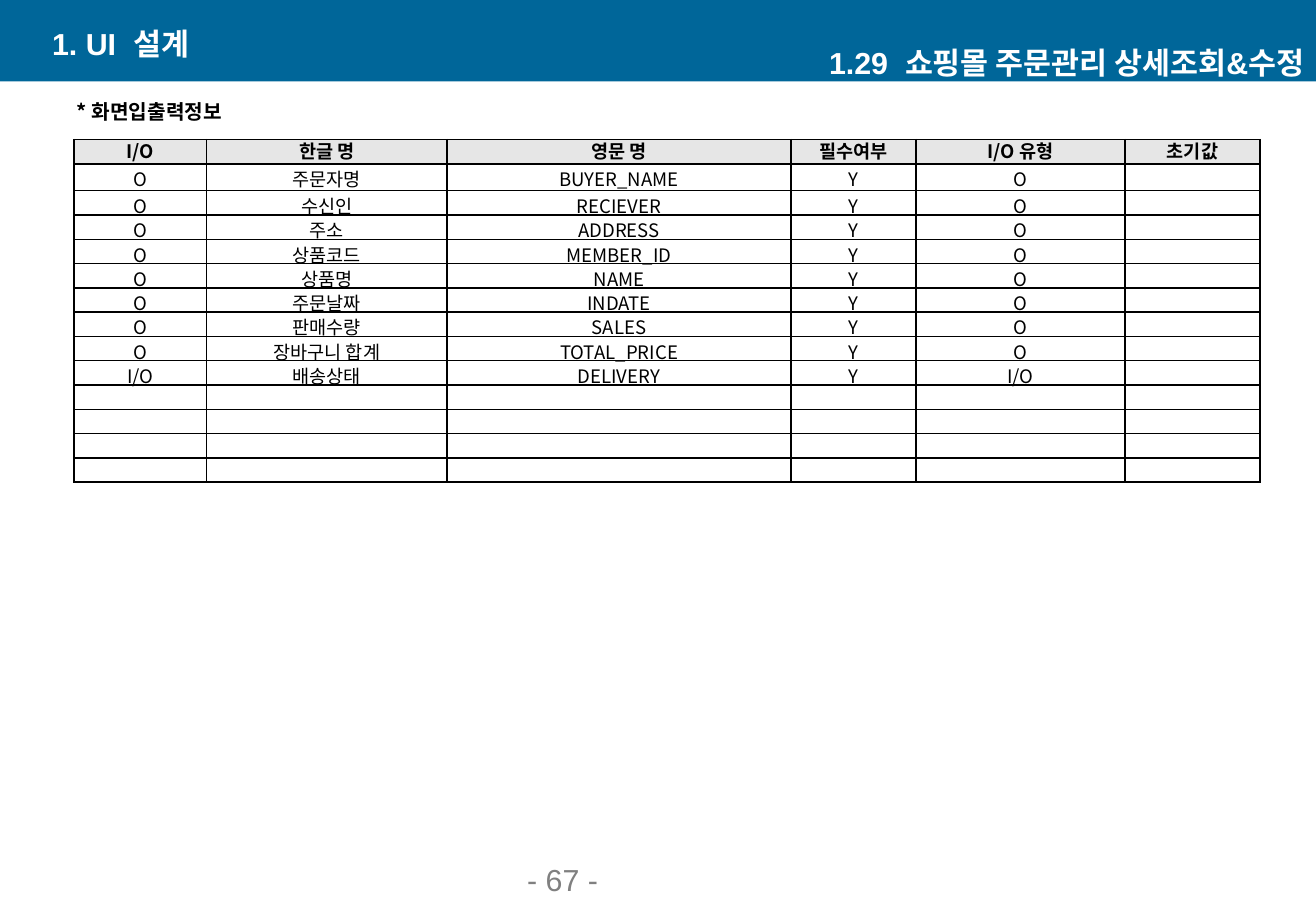
from lxml import etree
from pptx import Presentation
from pptx.dml.color import RGBColor
from pptx.enum.shapes import MSO_SHAPE
from pptx.enum.text import MSO_ANCHOR, PP_ALIGN
from pptx.oxml.ns import qn
from pptx.util import Inches, Pt

LEFT, CENTER, RIGHT = PP_ALIGN.LEFT, PP_ALIGN.CENTER, PP_ALIGN.RIGHT
TOP, MIDDLE, BOTTOM = MSO_ANCHOR.TOP, MSO_ANCHOR.MIDDLE, MSO_ANCHOR.BOTTOM

BLUE = RGBColor(0x00, 0x66, 0x99)
WHITE = RGBColor(0xFF, 0xFF, 0xFF)
BLACK = RGBColor(0x00, 0x00, 0x00)
GRAY = RGBColor(0x80, 0x80, 0x80)
HEADER_FILL = RGBColor(0xE6, 0xE6, 0xE6)
LATIN, KOREAN = "Arial", "Noto Sans CJK KR"

# Content
HEADER = ["I/O", "한글 명", "영문 명", "필수여부", "I/O 유형", "초기값"]
FIELDS = [  # I/O, Korean name, English name
    ("O", "주문자명", "BUYER_NAME"),
    ("O", "수신인", "RECIEVER"),
    ("O", "주소", "ADDRESS"),
    ("O", "상품코드", "MEMBER_ID"),
    ("O", "상품명", "NAME"),
    ("O", "주문날짜", "INDATE"),
    ("O", "판매수량", "SALES"),
    ("O", "장바구니 합계", "TOTAL_PRICE"),
    ("I/O", "배송상태", "DELIVERY"),
]
EMPTY_ROWS = 4
COL_WIDTHS = [1.09, 1.98, 2.83, 1.03, 1.72, 1.11]
ROW_HEIGHT, FIRST_FIELD_HEIGHT = 0.2, 0.22
TITLE = dict(size=18, color=WHITE, bold=True, anchor=MIDDLE)
TEXTS = [  # text, box, format
    ("1. UI  설계", (0.33, 0.19, 4.38, 0.33), TITLE),
    ("1.29  쇼핑몰 주문관리 상세조회&수정", (6.45, 0.35, 4.38, 0.33),
     dict(TITLE, align=RIGHT)),
    ("* 화면입출력정보", (0.47, 0.77, 1.52, 0.29),
     dict(size=12, font=KOREAN, bold=True, align=CENTER, wrap=False, spacing=("spcBef", "spcAft"))),
    ("- 67 -", (4.24, 7.13, 2.26, 0.31), dict(size=18, color=GRAY, anchor=BOTTOM)),
]


def write(tf, text, size=11, font=LATIN, color=BLACK, bold=False, align=LEFT,
          anchor=TOP, wrap=True, line=None, spacing=()):
    tf.word_wrap = wrap
    tf.vertical_anchor = anchor
    p = tf.paragraphs[0]
    p.alignment = align
    if line:
        p.line_spacing = Pt(line)
    for tag in spacing:  # a quarter of a line
        space = etree.SubElement(p._p.get_or_add_pPr(), qn("a:" + tag))
        etree.SubElement(space, qn("a:spcPct")).set("val", "25000")
    if not text:  # keeps an empty row low
        etree.SubElement(p._p, qn("a:endParaRPr")).set("sz", str(size * 100))
        return
    r = p.add_run()
    r.text = text
    r.font.size, r.font.name, r.font.bold = Pt(size), font, bold
    r.font.color.rgb = color
    etree.SubElement(r._r.get_or_add_rPr(), qn("a:ea")).set("typeface", KOREAN)


def add_borders(cell):
    tcPr = cell._tc.get_or_add_tcPr()
    for i, side in enumerate(("lnL", "lnR", "lnT", "lnB")):
        ln = etree.Element(qn("a:" + side), w=str(Pt(1)))
        fill = etree.SubElement(ln, qn("a:solidFill"))
        etree.SubElement(fill, qn("a:srgbClr")).set("val", str(BLACK))
        tcPr.insert(i, ln)


prs = Presentation()
prs.slide_width, prs.slide_height = Inches(10.83), Inches(7.5)
s = prs.slides.add_slide(prs.slide_layouts[6])

# Title band
band = s.shapes.add_shape(MSO_SHAPE.RECTANGLE, 0, 0, prs.slide_width, Inches(0.67))
band.shadow.inherit = False
band.fill.solid()
band.fill.fore_color.rgb = BLUE
band.line.fill.background()

# Titles, caption and page number
for text, box, style in TEXTS:
    sp = s.shapes.add_textbox(*map(Inches, box))
    write(sp.text_frame, text, **style)

# Input and output table
rows = [HEADER]
rows += [[io, korean, english, "Y", io, ""] for io, korean, english in FIELDS]
rows += [[""] * len(HEADER)] * EMPTY_ROWS
table = s.shapes.add_table(len(rows), len(HEADER), Inches(0.61), Inches(1.15),
                           Inches(sum(COL_WIDTHS)), Inches(2.88)).table
table.horz_banding = False
for col, width in zip(table.columns, COL_WIDTHS):
    col.width = Inches(width)
for i, values in enumerate(rows):
    table.rows[i].height = Inches(FIRST_FIELD_HEIGHT if i == 1 else ROW_HEIGHT)
    head = i == 0
    for j, text in enumerate(values):
        cell = table.cell(i, j)
        cell.margin_left = cell.margin_right = Inches(0.07 if head else 0.01)
        cell.margin_top = Inches(0 if head else 0.01)
        cell.margin_bottom = 0
        cell.vertical_anchor = MIDDLE
        if head:
            cell.fill.solid()
            cell.fill.fore_color.rgb = HEADER_FILL
        else:
            cell.fill.background()
        add_borders(cell)
        write(cell.text_frame, text, font=KOREAN, bold=head, align=CENTER, anchor=MIDDLE,
              line=14 if head or not text else None,
              spacing=("spcBef",) if head else ("spcBef", "spcAft") if text else ())

prs.save("out.pptx")
